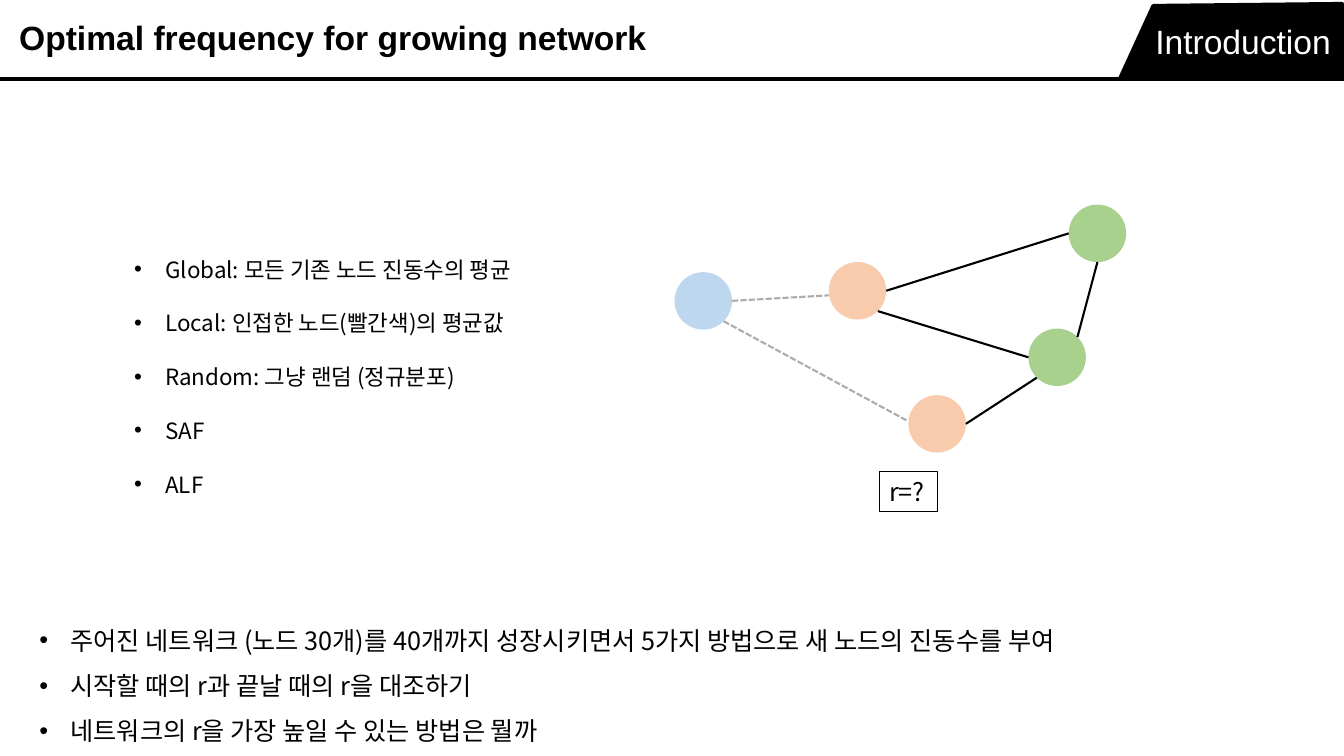
from math import cos, radians, sin

from lxml.etree import SubElement
from pptx import Presentation
from pptx.dml.color import RGBColor
from pptx.enum.dml import MSO_LINE
from pptx.enum.shapes import MSO_CONNECTOR, MSO_SHAPE as SHAPE
from pptx.enum.text import MSO_ANCHOR as ANCHOR, MSO_AUTO_SIZE, PP_ALIGN as ALIGN
from pptx.oxml.ns import qn
from pptx.util import Inches, Pt

BLACK = RGBColor(0x00, 0x00, 0x00)
WHITE = RGBColor(0xFF, 0xFF, 0xFF)
GRAY = RGBColor(0xAF, 0xAB, 0xAB)
ORANGE = RGBColor(0xF8, 0xCB, 0xAD)
GREEN = RGBColor(0xA9, 0xD1, 0x8E)
BLUE = RGBColor(0xBD, 0xD7, 0xEE)
HEAD_FONT, BODY_FONT = "Arial", "Noto Sans CJK KR"

# Content
TITLE = "Optimal frequency for growing network"
SECTION = "Introduction"
METHODS = [
    "Global: 모든 기존 노드 진동수의 평균",
    "Local: 인접한 노드(빨간색)의 평균값",
    "Random: 그냥 랜덤 (정규분포)",
    "SAF",
    "ALF",
]
GOALS = [
    "주어진 네트워크 (노드 30개)를 40개까지 성장시키면서 5가지 방법으로 새 노드의 진동수를 부여",
    "시작할 때의 r과 끝날 때의 r을 대조하기",
    "네트워크의 r을 가장 높일 수 있는 방법은 뭘까",
]
QUESTION = "r=?"

# Network: left, top and colour of each node
NODE_SIZE = 0.57
NODES = {
    "upper neighbor": (8.22, 2.6, ORANGE),
    "lower neighbor": (9.01, 3.92, ORANGE),
    "top": (10.6, 2.03, GREEN),
    "middle": (10.2, 3.26, GREEN),
    "new": (6.69, 2.7, BLUE),
}
# Each end is a node with a clockwise angle from its right side, or a point
RIGHT, LOWER_RIGHT, BOTTOM, LOWER_LEFT, LEFT, UPPER_RIGHT = 0, 45, 90, 135, 180, 315
LINKS = [
    (("upper neighbor", RIGHT), ("top", LEFT)),
    (("lower neighbor", RIGHT), ("middle", LOWER_LEFT)),
    (("upper neighbor", LOWER_RIGHT), ("middle", LEFT)),
    (("top", BOTTOM), ("middle", UPPER_RIGHT)),
]
NEW_LINKS = [
    (("new", RIGHT), (8.22, 2.93)),
    (("new", LOWER_RIGHT), (8.99, 4.17)),
]
TAB_OUTLINE = [(11.11, 0.78), (11.44, 0.06), (13.31, 0.04), (13.32, 0.77)]


def write(shape, text, *, box, size, font=BODY_FONT, color=BLACK, bold=False,
          align=ALIGN.LEFT, anchor=ANCHOR.TOP, margins=(0.1, 0.05), wrap=True,
          spacing=1, bullets=False):
    shape.left, shape.top, shape.width, shape.height = map(Inches, box)
    frame = shape.text_frame
    frame.text = text
    frame.word_wrap = wrap
    frame.auto_size = MSO_AUTO_SIZE.NONE
    frame.vertical_anchor = anchor
    frame.margin_left = frame.margin_right = Inches(margins[0])
    frame.margin_top = frame.margin_bottom = Inches(margins[1])
    for line in frame.paragraphs:
        line.alignment = align
        line.line_spacing = spacing
        line.space_before = Pt(0)
        if bullets:
            props = line._p.get_or_add_pPr()
            props.set("marL", str(Inches(0.31)))
            props.set("indent", str(-Inches(0.31)))
            SubElement(props, qn("a:buFont")).set("typeface", "Arial")
            SubElement(props, qn("a:buChar")).set("char", "•")
        for run in line.runs:
            run.font.size = Pt(size)
            run.font.name = font
            run.font.bold = bold
            run.font.color.rgb = color
            SubElement(run._r.get_or_add_rPr(), qn("a:ea")).set("typeface", font)


def draw_line(start, end, color, width, dash=None):
    line = slide.shapes.add_connector(
        MSO_CONNECTOR.STRAIGHT, *map(Inches, (*start, *end)))
    line.line.color.rgb = color
    line.line.width = Pt(width)
    if dash:
        line.line.dash_style = dash
    SubElement(line._element.spPr, qn("a:effectLst"))


def locate(end):
    if end[0] not in NODES:
        return end
    left, top, _ = NODES[end[0]]
    radius, angle = NODE_SIZE / 2, radians(end[1])
    return left + radius * (1 + cos(angle)), top + radius * (1 + sin(angle))


deck = Presentation()
deck.slide_width, deck.slide_height = Inches(13.33), Inches(7.5)
slide = deck.slides.add_slide(deck.slide_layouts[3])
title, goals, methods = slide.placeholders

# Header
heading = dict(size=24, font=HEAD_FONT, anchor=ANCHOR.MIDDLE, margins=(0.06, 0.06))
write(title, TITLE, box=(0.13, 0.11, 6.39, 0.52), bold=True, wrap=False, **heading)
corners = [(Inches(x), Inches(y)) for x, y in TAB_OUTLINE]
outline = slide.shapes.build_freeform(*corners[0], scale=1.0)
outline.add_line_segments(corners[1:], close=True)
tab = outline.convert_to_shape()
tab.shadow.inherit = False
tab.fill.solid()
tab.fill.fore_color.rgb = tab.line.color.rgb = BLACK
tab.line.width = Pt(3)
section = slide.shapes.add_textbox(0, 0, 0, 0)
write(section, SECTION, box=(11.11, 0.15, 2.15, 0.52), color=WHITE,
      align=ALIGN.RIGHT, **heading)
draw_line((0, 0.78), (13.33, 0.78), BLACK, 3)

# Lists
write(goals, "\n".join(GOALS), box=(0.29, 6, 12.1, 1.46), size=18,
      spacing=1.5, bullets=True)
write(methods, "\n".join(METHODS), box=(1.23, 2.22, 4.85, 2.79), size=16,
      spacing=2, bullets=True)

# Network
for left, top, color in NODES.values():
    node = slide.shapes.add_shape(
        SHAPE.OVAL, *map(Inches, (left, top, NODE_SIZE, NODE_SIZE)))
    node.shadow.inherit = False
    node.fill.solid()
    node.fill.fore_color.rgb = color
    node.line.fill.background()
for start, end in LINKS:
    draw_line(locate(start), locate(end), BLACK, 1.5)
for start, end in NEW_LINKS:
    draw_line(locate(start), locate(end), GRAY, 1.5, MSO_LINE.SQUARE_DOT)

# Question under the network
question = slide.shapes.add_shape(SHAPE.RECTANGLE, 0, 0, 0, 0)
question.shadow.inherit = False
question.fill.background()
question.line.color.rgb = BLACK
question.line.width = Pt(0.75)
write(question, QUESTION, box=(8.72, 4.68, 0.58, 0.4), size=18)

deck.save("out.pptx")
